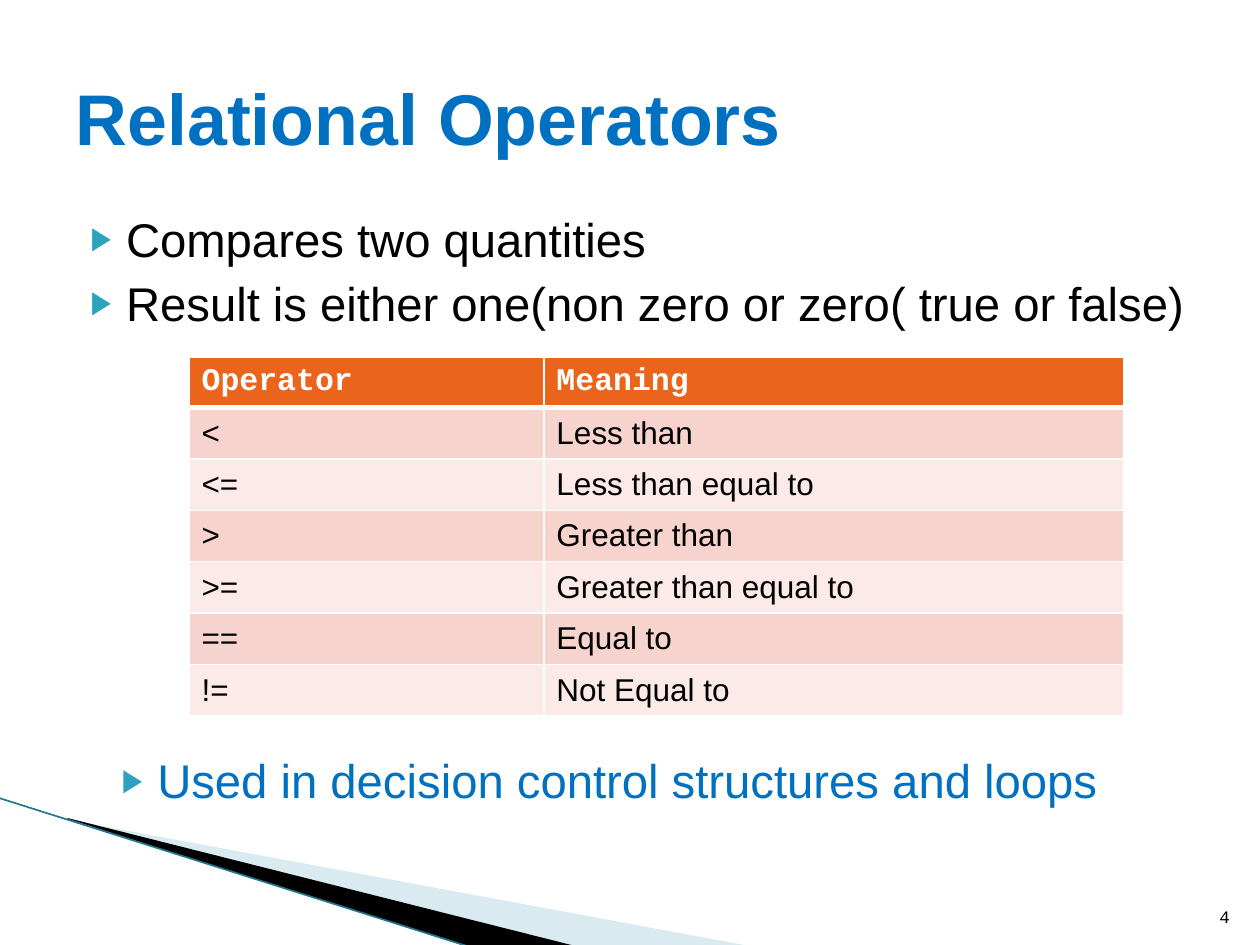
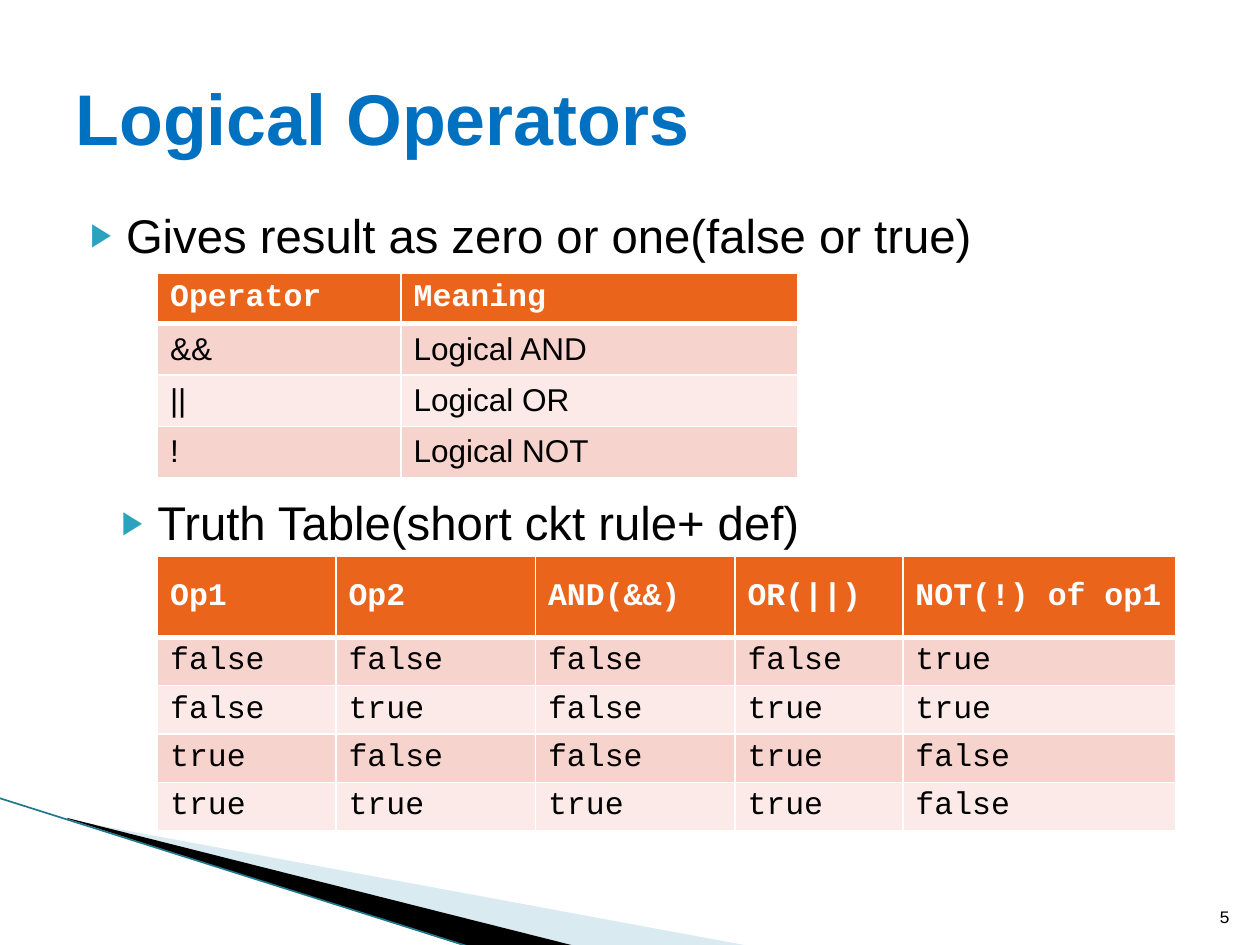
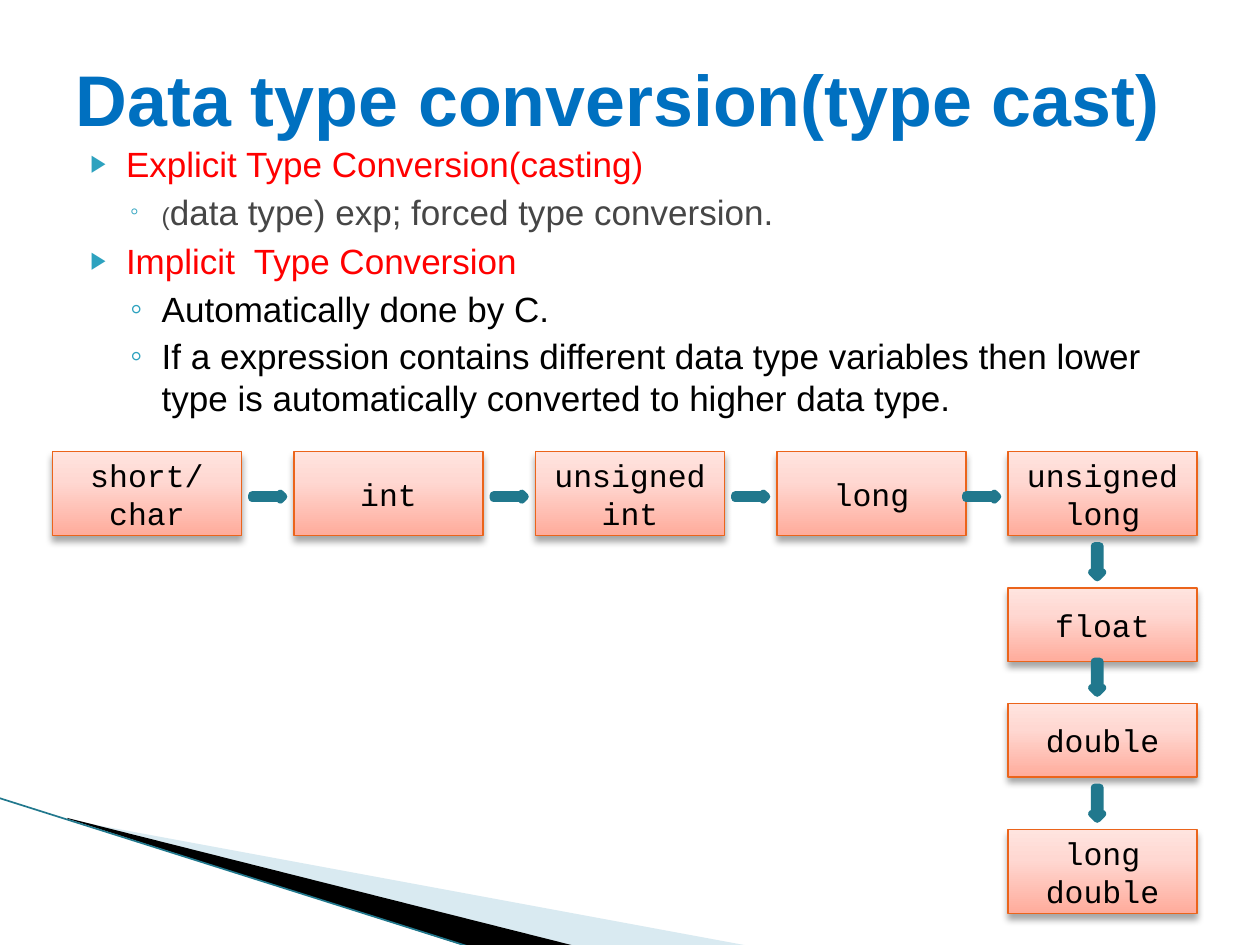
from pptx import Presentation, oxml
from pptx import util as u
from pptx.dml import color
from pptx.enum import shapes, text
from pptx.oxml import ns

SCALE = 7620
SANS, MONO = "Arial", "Courier New"
BLACK, WHITE, BLUE, RED, GREY = "000000", "FFFFFF", "0070C0", "FF0000", "464646"
TEAL, DARK_TEAL, PALE_TEAL, ORANGE = "2DA2BF", "21788D", "A0CBDC", "EB641B"
BANDS = ["F7D3CD", "FBEAE8"]
BOX_GRADIENT = [(0, "FFAC9C"), (65, "FFD8D2"), (100, "FFE4DF")]
LEVELS = [
    {"bullet": "▶", "percent": 68, "left": 48, "hang": 34, "before": 4},
    {"bullet": "◦", "percent": 100, "left": 82, "hang": 30, "before": 3.2},
]
PALE_WEDGE = [(66, 781), (714, 901), (547, 901), (66, 780)]
PALE_FRAME = (94, 656, 499, 190)
BLACK_WEDGE = [(64, 779), (548, 901), (446, 902), (65, 780)]
BLACK_FRAME = (-7, 760, 499, 110)
EDGE_LINE = (-1, 760, 448, 902)

SLIDES = [
    {
        "title": "Relational Operators", "title_height": 150, "number": "4",
        "body_at": (60, 194, 1080, 145),
        "body": [(0, [("Compares two quantities", 27, BLACK)]),
                 (0, [("Result is either one(non zero or zero( true or false)", 27, BLACK)])],
        "tables": [{
            "at": (180, 340), "columns": [338, 552], "heights": (48, 49), "font": SANS,
            "rows": [("Operator", "Meaning"), ("<", "Less than"), ("<=", "Less than equal to"),
                     (">", "Greater than"), (">=", "Greater than equal to"),
                     ("==", "Equal to"), ("!=", "Not Equal to")]}],
        "note": ("Used in decision control structures and loops", BLUE, (90, 710, 1080, 80), 1.0),
    },
    {
        "title": "Logical Operators", "title_height": 150, "number": "5",
        "body_at": (60, 190, 1080, 66),
        "body": [(0, [("Gives result as zero or one(false or true)", 27, BLACK)])],
        "tables": [
            {"at": (150, 260), "columns": [232, 378], "heights": (48, 49), "font": SANS,
             "rows": [("Operator", "Meaning"), ("&&", "Logical AND"),
                      ("||", "Logical OR"), ("!", "Logical NOT")]},
            {"at": (150, 530), "columns": [170, 190, 190, 160, 260], "heights": (77, 46),
             "font": MONO,
             "rows": [("Op1", "Op2", "AND(&&)", "OR(||)", "NOT(!) of op1"),
                      ("false", "false", "false", "false", "true"),
                      ("false", "true", "false", "true", "true"),
                      ("true", "false", "false", "true", "false"),
                      ("true", "true", "true", "true", "false")]}],
        "note": ("Truth Table(short ckt rule+ def)", BLACK, (90, 470, 1080, 66), 0.9),
    },
    {
        "title": "Data type conversion(type cast)", "title_height": 114,
        "body_at": (60, 130, 1080, 659),
        "body": [
            (0, [("Explicit Type Conversion(casting)", 20, RED)]),
            (1, [("(", 14, GREY), ("data type) exp; forced type conversion.", 20, GREY)]),
            (0, [("Implicit  Type Conversion", 20, RED)]),
            (1, [("Automatically done by C.", 20, BLACK)]),
            (1, [("If a expression contains different data type variables then lower type "
                  "is automatically converted to higher data type.", 20, BLACK)])],
        "types": [("short/char", 50, 430, 80), ("int", 280, 430, 80),
                  ("unsigned int", 510, 430, 80), ("long", 740, 430, 80),
                  ("unsigned long", 960, 430, 80), ("float", 960, 560, 70),
                  ("double", 960, 670, 70), ("long double", 960, 790, 80)],
        "right_arrows": [240, 470, 700, 920],
        "down_arrows": [520, 630, 750],
    },
]


def px(*lengths):
    return [u.Emu(length * SCALE) for length in lengths]


def rgb(value):
    return color.RGBColor.from_string(value)


def xml(tag, attributes="", content=""):
    return oxml.parse_xml(f'<a:{tag} {ns.nsdecls("a")} {attributes}>{content}</a:{tag}>')


def hex_xml(value, content=""):
    return f'<a:srgbClr val="{value}">{content}</a:srgbClr>'


def write(paragraph, words, size=18, ink=BLACK, font=SANS, bold=False, align=None):
    run = paragraph.add_run()
    run.text = words
    run.font.size, run.font.name, run.font.bold = u.Pt(size), font, bold
    run.font.color.rgb = rgb(ink)
    if align is not None:
        paragraph.alignment = align


def place(shape, left, top, width, height):
    shape.left, shape.top, shape.width, shape.height = px(left, top, width, height)


def write_list(frame, items, spacing=1.0):
    frame.word_wrap = True
    frame.auto_size = text.MSO_AUTO_SIZE.NONE
    frame.vertical_anchor = text.MSO_ANCHOR.TOP
    frame.margin_top, frame.margin_right = px(6, 0)
    for index, (level, runs) in enumerate(items):
        style = LEVELS[level]
        paragraph = frame.add_paragraph() if index else frame.paragraphs[0]
        paragraph.level = level
        paragraph.line_spacing = spacing
        paragraph.space_before = u.Pt(style["before"] if index else 0)
        properties = paragraph._p.get_or_add_pPr()
        left, hang = px(style["left"], style["hang"])
        properties.set("marL", str(left))
        properties.set("indent", str(-hang))
        properties.append(xml("buClr", content=hex_xml(TEAL)))
        properties.append(xml("buSzPct", f'val="{style["percent"] * 1000}"'))
        properties.append(xml("buFont", f'typeface="{SANS}"'))
        properties.append(xml("buChar", f'char="{style["bullet"]}"'))
        for words, size, ink in runs:
            write(paragraph, words, size, ink)


def add_wedge(slide, points, frame, ink):
    builder = slide.shapes.build_freeform(*points[0], scale=SCALE)
    builder.add_line_segments(points[1:], close=True)
    wedge = builder.convert_to_shape()
    outline = wedge._element.spPr.find(".//" + ns.qn("a:path"))
    outline.set("w", str(frame[2]))
    outline.set("h", str(frame[3]))
    for point, (x, y) in zip(outline.iter(ns.qn("a:pt")), points):
        point.set("x", str(x - frame[0]))
        point.set("y", str(y - frame[1]))
    place(wedge, *frame)
    wedge.shadow.inherit = False
    wedge.fill.solid()
    wedge.fill.fore_color.rgb = rgb(ink)
    wedge.line.fill.background()
    return wedge


def decorate_layout(layout, slide):
    pale = add_wedge(slide, PALE_WEDGE, PALE_FRAME, PALE_TEAL)
    pale._element.spPr.find(".//" + ns.qn("a:srgbClr")).append(xml("alpha", 'val="40000"'))
    black = add_wedge(slide, BLACK_WEDGE, BLACK_FRAME, BLACK)
    edge = slide.shapes.add_connector(shapes.MSO_CONNECTOR.STRAIGHT, *px(*EDGE_LINE))
    edge.line.color.rgb = rgb(DARK_TEAL)
    edge.line.width = u.Pt(0.95)
    edge._element.spPr.append(xml("effectLst"))
    for index, shape in enumerate([pale, black, edge]):
        shape._element.xpath(".//p:cNvPr")[0].set("id", str(20 + index))
        layout.shapes._spTree.insert(2 + index, shape._element)


def border(side, width):
    return xml(side, f'w="{u.Pt(width)}"', f'<a:solidFill>{hex_xml(WHITE)}</a:solidFill>')


def add_operator_table(slide, at, columns, heights, font, rows):
    header_height, row_height = heights
    total = header_height + row_height * (len(rows) - 1)
    frame = slide.shapes.add_table(len(rows), len(columns), *px(*at, sum(columns), total))
    table = frame.table
    for column, width in zip(table.columns, columns):
        column.width = px(width)[0]
    for r, values in enumerate(rows):
        header = r == 0
        table.rows[r].height = px(header_height if header else row_height)[0]
        for c, value in enumerate(values):
            cell = table.cell(r, c)
            cell.vertical_anchor = text.MSO_ANCHOR.MIDDLE
            write(cell.text_frame.paragraphs[0], value, bold=header,
                  ink=WHITE if header else BLACK, font=MONO if header else font)
            properties = cell._tc.get_or_add_tcPr()
            widths = {"lnL": 1, "lnR": 1, "lnT": 3 if r == 1 else 1, "lnB": 3 if header else 1}
            for side, width in widths.items():
                properties.append(border(side, width))
            cell.fill.solid()
            cell.fill.fore_color.rgb = rgb(ORANGE if header else BANDS[(r - 1) % 2])


def add_type_box(slide, name, left, top, height):
    box = slide.shapes.add_shape(shapes.MSO_SHAPE.RECTANGLE, *px(left, top, 180, height))
    stops = "".join(f'<a:gs pos="{position * 1000}">{hex_xml(ink)}</a:gs>'
                    for position, ink in BOX_GRADIENT)
    properties = box._element.spPr
    properties.insert(2, xml("gradFill", 'rotWithShape="1"',
                             f'<a:gsLst>{stops}</a:gsLst><a:lin ang="16200000" scaled="0"/>'))
    box.line.color.rgb = rgb(ORANGE)
    box.line.width = u.Pt(0.75)
    shade = hex_xml(BLACK, '<a:alpha val="35000"/>')
    properties.append(xml("effectLst", content=(
        f'<a:outerShdw blurRad="{u.Pt(4)}" dist="{u.Pt(3)}" dir="5400000" rotWithShape="0">'
        f'{shade}</a:outerShdw>')))
    box.text_frame.word_wrap = True
    box.text_frame.vertical_anchor = text.MSO_ANCHOR.MIDDLE
    write(box.text_frame.paragraphs[0], name, font=MONO, align=text.PP_ALIGN.CENTER)


def add_arrow(slide, kind, *at):
    arrow = slide.shapes.add_shape(kind, *px(*at))
    arrow.shadow.inherit = False
    arrow.fill.solid()
    arrow.fill.fore_color.rgb = rgb(TEAL)
    arrow.line.color.rgb = rgb(DARK_TEAL)
    arrow.line.width = u.Pt(4.33)


def add_slide_number(slide, number):
    frame = slide.shapes.add_textbox(*px(1135, 841, 48, 48)).text_frame
    frame.word_wrap = True
    frame.vertical_anchor = text.MSO_ANCHOR.BOTTOM
    write(frame.paragraphs[0], number, size=10, font=MONO, align=text.PP_ALIGN.RIGHT)


def fill_slide(slide, content):
    title, body = slide.placeholders
    place(title, 60, 36, 1080, content["title_height"])
    title.text_frame.auto_size = text.MSO_AUTO_SIZE.NONE
    title.text_frame.vertical_anchor = text.MSO_ANCHOR.MIDDLE
    write(title.text_frame.paragraphs[0], content["title"], size=41, ink=BLUE, bold=True,
          align=text.PP_ALIGN.LEFT)
    place(body, *content["body_at"])
    write_list(body.text_frame, content["body"])
    for table in content.get("tables", []):
        add_operator_table(slide, **table)
    if "note" in content:
        words, ink, at, spacing = content["note"]
        note = slide.shapes.add_textbox(*px(*at))
        write_list(note.text_frame, [(0, [(words, 27, ink)])], spacing)
    for box in content.get("types", []):
        add_type_box(slide, *box)
    for left in content.get("right_arrows", []):
        add_arrow(slide, shapes.MSO_SHAPE.RIGHT_ARROW, left, 470, 30, 6)
    for top in content.get("down_arrows", []):
        add_arrow(slide, shapes.MSO_SHAPE.DOWN_ARROW, 1040, top, 10, 30)
    if "number" in content:
        add_slide_number(slide, content["number"])


def main():
    presentation = Presentation()
    presentation.slide_width, presentation.slide_height = px(1200, 900)
    layout = presentation.slide_layouts[1]
    for index, content in enumerate(SLIDES):
        slide = presentation.slides.add_slide(layout)
        if index == 0:
            decorate_layout(layout, slide)
        fill_slide(slide, content)
    presentation.save("out.pptx")


if __name__ == "__main__":
    main()
